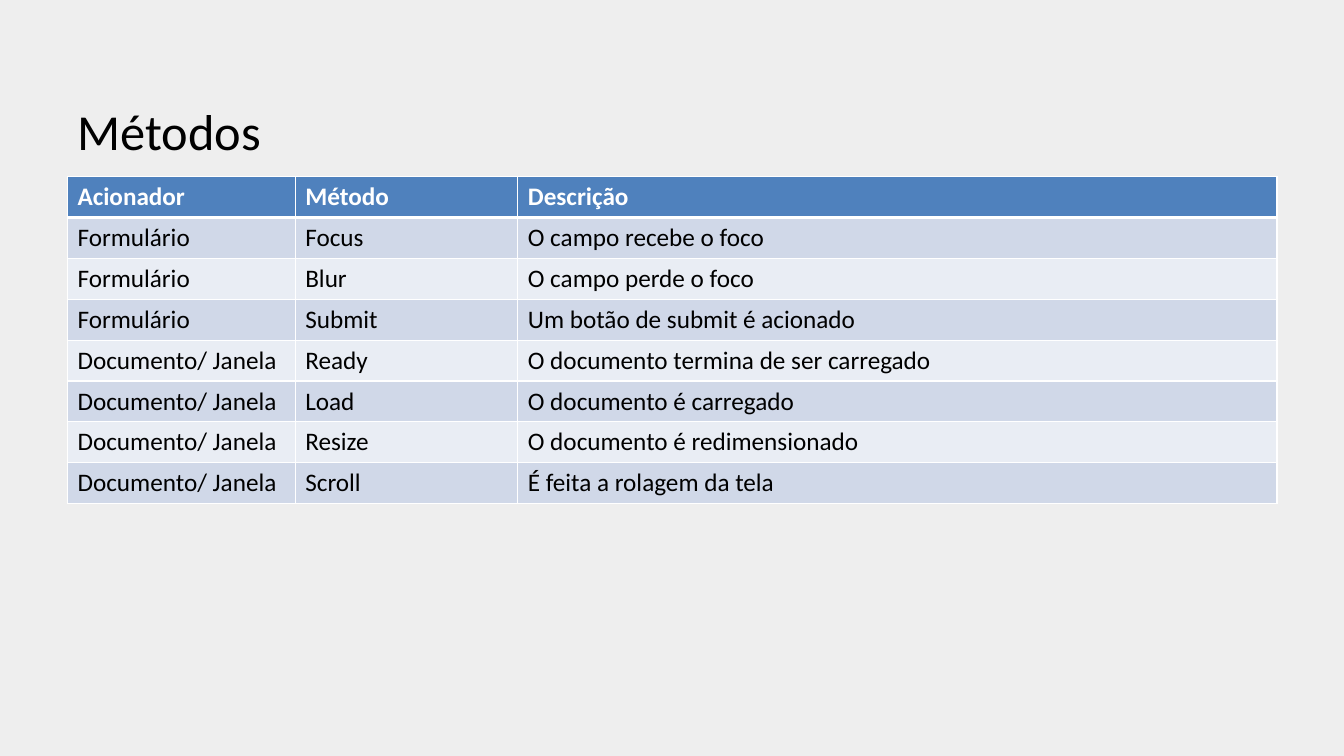
from lxml.etree import SubElement
from pptx import Presentation
from pptx.dml.color import RGBColor
from pptx.enum.text import MSO_ANCHOR
from pptx.oxml.ns import qn
from pptx.util import Cm, Pt

METHODS = [
    ("Acionador", "Método", "Descrição"),
    ("Formulário", "Focus", "O campo recebe o foco"),
    ("Formulário", "Blur", "O campo perde o foco"),
    ("Formulário", "Submit", "Um botão de submit é acionado"),
    ("Documento/ Janela", "Ready", "O documento termina de ser carregado"),
    ("Documento/ Janela", "Load", "O documento é carregado"),
    ("Documento/ Janela", "Resize", "O documento é redimensionado"),
    ("Documento/ Janela", "Scroll", "É feita a rolagem da tela"),
]
COLUMN_WIDTHS = [5.74, 5.61, 19.13]
ROW_HEIGHT = 1.03
LEFT, WIDTH = Cm(1.7), Cm(30.48)


def style_text(paragraph, size, color, bold=False):
    paragraph.font.name = "Calibri"
    paragraph.font.size = Pt(size)
    paragraph.font.bold = bold
    paragraph.font.color.rgb = RGBColor.from_string(color)


def add_border(cell, side, points):
    line = SubElement(cell._tc.get_or_add_tcPr(), qn(f"a:ln{side}"), w=str(Pt(points)))
    fill = SubElement(line, qn("a:solidFill"))
    SubElement(fill, qn("a:srgbClr"), val="FFFFFF")


# Slide and background
presentation = Presentation()
presentation.slide_width = Cm(33.87)
presentation.slide_height = Cm(19.05)
slide = presentation.slides.add_slide(presentation.slide_layouts[6])
slide.background.fill.solid()
slide.background.fill.fore_color.rgb = RGBColor.from_string("EEEEEE")

# Title
title = slide.shapes.add_textbox(LEFT, Cm(0.99), WIDTH, Cm(3.18))
title.text_frame.word_wrap = True
title.text_frame.vertical_anchor = MSO_ANCHOR.BOTTOM
title.text_frame.text = "Métodos"
style_text(title.text_frame.paragraphs[0], 36, "000000")

# Table of methods
table = slide.shapes.add_table(
    len(METHODS), len(COLUMN_WIDTHS), LEFT, Cm(4.45), WIDTH, Cm(ROW_HEIGHT * len(METHODS))
).table
for column, width in zip(table.columns, COLUMN_WIDTHS):
    column.width = Cm(width)

for row_index, texts in enumerate(METHODS):
    table.rows[row_index].height = Cm(ROW_HEIGHT)
    is_header = row_index == 0
    if is_header:
        fill_color, text_color = "4F81BD", "FFFFFF"
    else:
        fill_color, text_color = ("D0D8E8" if row_index % 2 else "E9EDF4"), "000000"

    for column_index, text in enumerate(texts):
        cell = table.cell(row_index, column_index)
        cell.text = text
        style_text(cell.text_frame.paragraphs[0], 18, text_color, is_header)
        # A thicker line separates the header from the body
        add_border(cell, "L", 1)
        add_border(cell, "R", 1)
        add_border(cell, "T", 3 if row_index == 1 else 1)
        add_border(cell, "B", 3 if is_header else 1)
        cell.fill.solid()
        cell.fill.fore_color.rgb = RGBColor.from_string(fill_color)

presentation.save("out.pptx")
